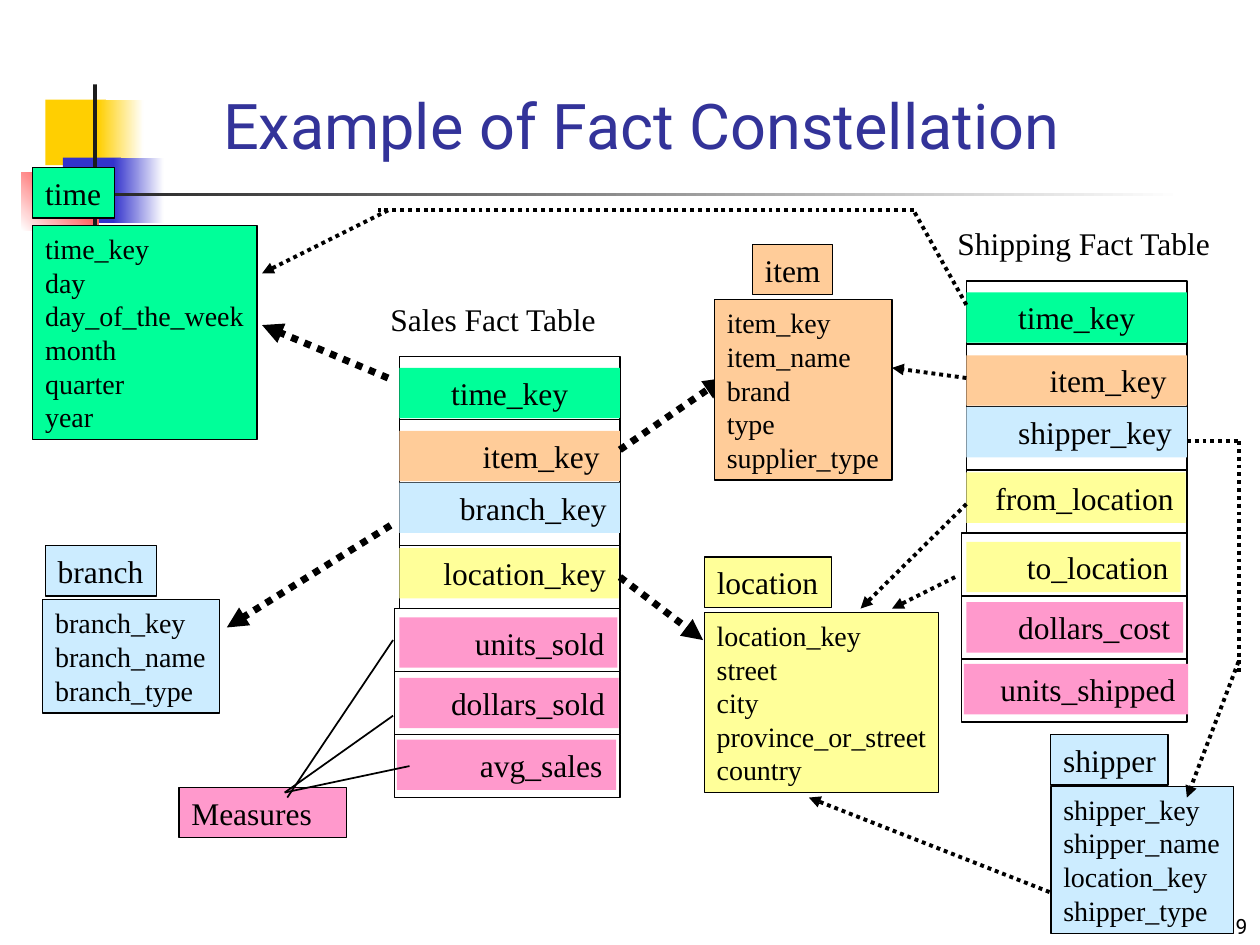
from lxml.etree import SubElement
from pptx import Presentation
from pptx.dml.color import RGBColor
from pptx.enum.dml import MSO_LINE_DASH_STYLE as DASH
from pptx.enum.shapes import MSO_CONNECTOR, MSO_SHAPE
from pptx.enum.text import MSO_ANCHOR, MSO_AUTO_SIZE, PP_ALIGN
from pptx.oxml.ns import qn
from pptx.util import Inches, Pt

COLORS = {
    "black": "000000", "white": "FFFFFF", "dark": "1C1C1C", "title": "333399",
    "gold": "FFCF01", "navy": "3333CC", "red": "FF0000",
    "green": "00FF99", "orange": "FFCC99", "blue": "CCECFF",
    "yellow": "FFFF99", "pink": "FF99CC",
}
SERIF, SANS = "Times New Roman", "Roboto"
ROW_PITCH = 0.5
# top of each coloured band, measured from the top of its fact table
BAND_TOPS = (0.09, 0.59, 1.0, 1.52, 2.07, 2.55, 3.04)


def rgb(name):
    return RGBColor.from_string(COLORS[name])


def write(tf, lines, size=18, font=SERIF, color="black", align=PP_ALIGN.LEFT, **frame):
    """Fill a text frame, one paragraph a line; extra values go to the frame."""
    settings = {"word_wrap": True, "auto_size": MSO_AUTO_SIZE.NONE,
                "vertical_anchor": MSO_ANCHOR.TOP, "margin_right": 0, **frame}
    for key, value in settings.items():
        setattr(tf, key, value)
    for i, line in enumerate(lines):
        p = tf.paragraphs[0] if i == 0 else tf.add_paragraph()
        p.alignment = align
        r = p.add_run()
        r.text = line
        for key, value in {"size": Pt(size), "name": font}.items():
            setattr(r.font, key, value)
        r.font.color.rgb = rgb(color)


def add_box(s, box, fill=None, line=None):
    sp = s.shapes.add_shape(MSO_SHAPE.RECTANGLE, *map(Inches, box))
    sp.shadow.inherit = False
    if fill:
        sp.fill.solid()
        sp.fill.fore_color.rgb = rgb(fill)
    else:
        sp.fill.background()
    if line:
        sp.line.color.rgb = rgb("black")
        sp.line.width = Pt(line)
    else:
        sp.line.fill.background()
    return sp


def add_gradient(s, box, start, end, angle=0):
    fill = add_box(s, box).fill
    fill.gradient()
    fill.gradient_angle = angle
    for stop, position, color in zip(fill.gradient_stops, (0, 1), (start, end)):
        stop.position = position
        stop.color.rgb = rgb(color)


def add_line(s, start, end, width, dotted=True, arrow=True):
    c = s.shapes.add_connector(MSO_CONNECTOR.STRAIGHT, *map(Inches, start + end))
    c.line.width = Pt(width)
    c.line.color.rgb = rgb("black")
    if dotted:
        c.line.dash_style = DASH.ROUND_DOT
    if arrow:
        SubElement(c.line._get_or_add_ln(), qn("a:tailEnd"), type="triangle")
    SubElement(c._element.spPr, qn("a:effectLst"))


def add_label(s, box, text, **style):
    tb = s.shapes.add_textbox(*map(Inches, box))
    write(tb.text_frame, [text], **style)


def add_decoration(s):
    add_box(s, (0.36, 0.79, 0.48, 0.52), "gold")
    add_gradient(s, (0.78, 0.79, 0.36, 0.52), "gold", "white")
    add_box(s, (0.5, 1.25, 0.46, 0.52), "navy")
    add_gradient(s, (0.9, 1.25, 0.4, 0.52), "navy", "white")
    add_gradient(s, (0.17, 1.37, 0.61, 0.46), "white", "red", 45)
    add_box(s, (0.74, 0.67, 0.03, 1.15), "dark")
    add_gradient(s, (0.39, 1.53, 9, 0.03), "dark", "white")


def add_title(s, box, text):
    sp = s.shapes.title
    for key, value in zip(("left", "top", "width", "height"), box):
        setattr(sp, key, Inches(value))
    write(sp.text_frame, [text], size=36, font=SANS, color="title",
          vertical_anchor=MSO_ANCHOR.BOTTOM)


def add_dimension(s, name, name_box, fields, fields_box, color):
    """A dimension table: its field list and the name tab above it."""
    for lines, box, size in ((fields, fields_box, 16), ([name], name_box, 18)):
        write(add_box(s, box, color, 0.75).text_frame, lines, size)


def add_fact_table(s, left, top, caption, caption_box, rows):
    """Seven outlined rows, the last three a little wider, with colour bands."""
    add_label(s, caption_box, caption)
    for i, (text, color, indent, dx, width) in enumerate(rows):
        extra = 0.04 if i > 3 else 0
        add_box(s, (left - extra, top + i * ROW_PITCH, 1.75 + extra, ROW_PITCH), line=1)
        band = add_box(s, (left + dx, top + BAND_TOPS[i], width, 0.4), color)
        if indent is None:
            write(band.text_frame, [text], align=PP_ALIGN.CENTER, margin_right=Inches(0.1))
        else:
            write(band.text_frame, [text], margin_left=Inches(0.1 + indent))


def add_measures(s, box):
    write(add_box(s, box, "pink", 0.75).text_frame, ["Measures"])
    for start, end in (((2.28, 6.33), (3.12, 5.08)), ((2.26, 6.29), (3.12, 5.68)),
                       ((2.26, 6.29), (3.25, 6.08))):
        add_line(s, start, end, 1, dotted=False, arrow=False)


# text, colour, indent (None = centred), left offset, band width
SALES_ROWS = [
    ("time_key", "green", None, 0, 1.75), ("item_key", "orange", 0.56, 0, 1.75),
    ("branch_key", "blue", 0.38, 0, 1.75), ("location_key", "yellow", 0.25, 0, 1.74),
    ("units_sold", "pink", 0.5, 0, 1.73), ("dollars_sold", "pink", 0.31, 0, 1.74),
    ("avg_sales", "pink", 0.56, -0.02, 1.74),
]
SHIPPING_ROWS = [
    ("time_key", "green", None, 0, 1.75), ("item_key", "orange", 0.56, 0, 1.75),
    ("shipper_key", "blue", 0.31, 0, 1.75), ("from_location", "yellow", 0.13, 0, 1.74),
    ("to_location", "yellow", 0.38, 0, 1.7), ("dollars_cost", "pink", 0.31, 0, 1.72),
    ("units_shipped", "pink", 0.19, -0.02, 1.78),
]
SALES_ARROWS = [
    ((3.1, 4.17), (1.8, 4.98)), ((3.08, 3), (2.08, 2.58)),
    ((4.92, 4.58), (5.58, 5.08)), ((4.92, 3.57), (5.75, 3)),
]
# start, end, arrowhead
SHIPPING_LINKS = [
    ((7.67, 2.42), (7.25, 1.67), False), ((7.25, 1.67), (3, 1.67), False),
    ((3.08, 1.67), (2.08, 2.17), True), ((7.67, 3), (7.08, 2.92), True),
    ((7.67, 4), (6.83, 4.83), True), ((7.58, 4.58), (7.08, 4.83), True),
    ((9.42, 3.5), (9.83, 3.5), False), ((9.83, 3.5), (9.83, 5.33), False),
    ((9.83, 5.25), (9.42, 6.33), True), ((8.33, 7.08), (6.42, 6.33), True),
]
DIMENSIONS = [
    ("time", (0.26, 1.33, 0.65, 0.4),
     ["time_key", "day", "day_of_the_week", "month", "quarter", "year"],
     (0.26, 1.79, 1.78, 1.7), "green"),
    ("location", (5.59, 4.42, 1.01, 0.4),
     ["location_key", "street", "city", "province_or_street", "country"],
     (5.59, 4.86, 1.86, 1.43), "yellow"),
    ("item", (5.97, 1.94, 0.64, 0.4),
     ["item_key", "item_name", "brand", "type", "supplier_type"],
     (5.67, 2.38, 1.41, 1.43), "orange"),
    ("branch", (0.36, 4.33, 0.88, 0.4),
     ["branch_key", "branch_name", "branch_type"],
     (0.34, 4.76, 1.4, 0.9), "blue"),
    ("shipper", (8.34, 5.83, 0.93, 0.4),
     ["shipper_key", "shipper_name", "location_key", "shipper_type"],
     (8.34, 6.24, 1.45, 1.17), "blue"),
]


def main():
    prs = Presentation()
    prs.slide_width, prs.slide_height = Inches(10), Inches(7.5)
    s = prs.slides.add_slide(prs.slide_layouts[5])

    # Background ornament, title and page number
    add_decoration(s)
    add_title(s, (1.67, 0.58, 7.05, 0.76), "Example of Fact Constellation")
    add_label(s, (7.92, 7, 2.08, 0.5), "19", size=12, font=SANS, align=PP_ALIGN.RIGHT,
              vertical_anchor=MSO_ANCHOR.BOTTOM, margin_right=Inches(0.1))

    # Sales facts, with arrows running under the dimension tables
    add_fact_table(s, 3.17, 2.83, "Sales Fact Table", (3, 2.33, 1.85, 0.4), SALES_ROWS)
    add_measures(s, (1.42, 6.25, 1.33, 0.4))
    for start, end in SALES_ARROWS:
        add_line(s, start, end, 4)

    # Dimension tables
    for dimension in DIMENSIONS:
        add_dimension(s, *dimension)

    # Shipping facts and their links
    add_fact_table(s, 7.67, 2.23, "Shipping Fact Table", (7.5, 1.73, 2.23, 0.4), SHIPPING_ROWS)
    for start, end, arrow in SHIPPING_LINKS:
        add_line(s, start, end, 2.25, arrow=arrow)

    prs.save("out.pptx")


if __name__ == "__main__":
    main()
